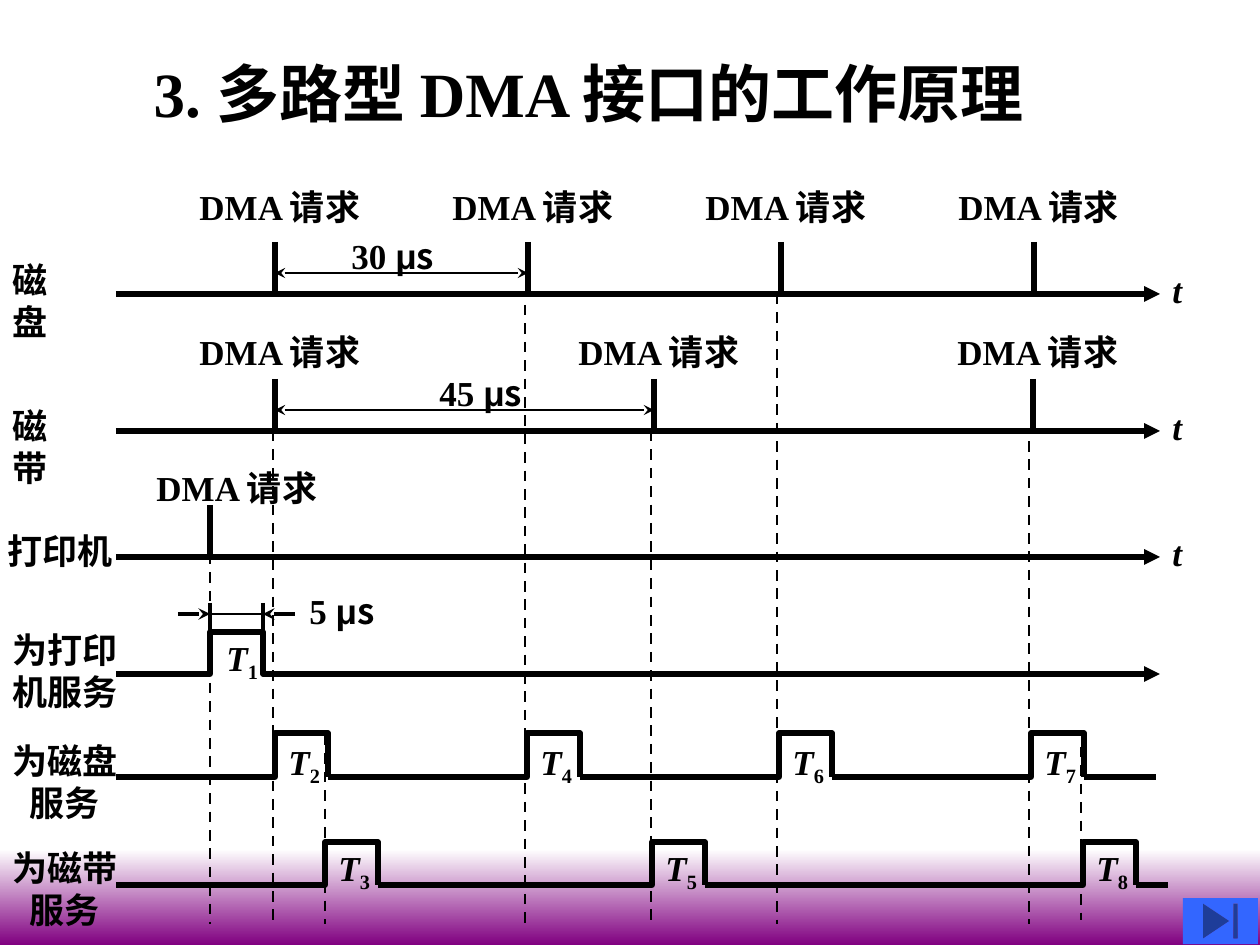
"""Build the timing-diagram slide for a multiplexed DMA interface."""
from dataclasses import dataclass

from lxml.etree import SubElement
from pptx import Presentation
from pptx.dml.color import RGBColor as Color
from pptx.enum.dml import MSO_LINE_DASH_STYLE as Dash
from pptx.enum.shapes import MSO_CONNECTOR as Connector, MSO_SHAPE as Preset
from pptx.enum.text import MSO_ANCHOR as Anchor, MSO_AUTO_SIZE as AutoSize, PP_ALIGN as Align
from pptx.oxml.ns import qn
from pptx.util import Emu, Pt

SCALE = 914400 / 126
REQUEST = "DMA 请求"
REQUEST_SIZE = (197, 55)
AXIS_LEFT, AXIS_RIGHT = 116, 1160
PULSE_WIDTH = 53


def px(length):
    return Emu(round(length * SCALE))


@dataclass(frozen=True)
class Theme:
    ink: Color = Color(0, 0, 0)
    paper: Color = Color(255, 255, 255)
    band: Color = Color(0x80, 0x00, 0x80)
    button: Color = Color(0x33, 0x66, 0xFF)
    serif: str = "Times New Roman"
    greek: str = "Arial"
    sans: str = "Noto Sans CJK SC"
    title: int = 36
    label: int = 20
    heavy: float = 3
    medium: float = 2.25
    dashed: float = 1.5
    thin: float = 1


class Diagram:
    def __init__(self, page, theme):
        self.page, self.theme = page, theme

    def span(self, para, text, size=None, font=None, italic=False, subscript=False):
        span = para.add_run()
        span.text = text
        span.font.name = font or self.theme.serif
        span.font.size = Pt(size or self.theme.label)
        span.font.bold, span.font.italic = True, italic
        span.font.color.rgb = self.theme.ink
        if subscript:
            span.font._element.set("baseline", "-25000")

    def title(self, text, left, top, width, height):
        box = self.page.shapes.title
        box.left, box.top, box.width, box.height = map(px, (left, top, width, height))
        frame = box.text_frame
        frame.vertical_anchor, frame.auto_size = Anchor.TOP, AutoSize.NONE
        frame.paragraphs[0].alignment = Align.LEFT
        self.span(frame.paragraphs[0], text, self.theme.title)

    def frame(self, left, top, width, height=55):
        box = self.page.shapes.add_textbox(px(left), px(top), px(width), px(height))
        box.text_frame.word_wrap = False
        box.text_frame.auto_size = AutoSize.SHAPE_TO_FIT_TEXT
        return box.text_frame

    def label(self, text, left, top, width, height=55, italic=False):
        self.span(self.frame(left, top, width, height).paragraphs[0], text, italic=italic)

    def service_name(self, lines, top):
        frame = self.frame(0, top, 130, 97)
        for index, line in enumerate(lines):
            para = frame.add_paragraph() if index else frame.paragraphs[0]
            para.alignment = Align.CENTER
            self.span(para, line)

    def duration(self, value, left, top, width):
        para = self.frame(left, top, width).paragraphs[0]
        self.span(para, f"{value} ")
        self.span(para, "μ", font=self.theme.greek)
        self.span(para, "s", font=self.theme.sans)

    def slot(self, number, left, top):
        para = self.frame(left, top, 57, 60).paragraphs[0]
        self.span(para, "T", italic=True)
        self.span(para, str(number), subscript=True)

    def stroke(self, line, weight, head=None, tail=None):
        line.color.rgb, line.width = self.theme.ink, Pt(weight)
        for tag, kind in (("a:headEnd", head), ("a:tailEnd", tail)):
            if kind:
                SubElement(line._get_or_add_ln(), qn(tag), type=kind)

    def line(self, x1, y1, x2, y2, weight, head=None, tail=None, dash=None):
        line = self.page.shapes.add_connector(Connector.STRAIGHT, px(x1), px(y1), px(x2), px(y2))
        SubElement(line._element.spPr, qn("a:effectLst"))
        if dash:
            line.line.dash_style = dash
        self.stroke(line.line, weight, head, tail)

    def outline(self, points, tail=None):
        builder = self.page.shapes.build_freeform(*points[0], scale=SCALE)
        builder.add_line_segments(points[1:], close=False)
        shape = builder.convert_to_shape()
        shape.shadow.inherit = False
        shape.fill.background()
        self.stroke(shape.line, self.theme.heavy, tail=tail)

    def band(self, left, top, width, height):
        shape = self.page.shapes.add_shape(Preset.RECTANGLE, px(left), px(top), px(width), px(height))
        shape.shadow.inherit = False
        shape.line.fill.background()
        shape.fill.gradient()
        shape.fill.gradient_angle = 270
        for stop, color, position in zip(
                shape.fill.gradient_stops, (self.theme.paper, self.theme.band), (0, 1)):
            stop.color.rgb, stop.position = color, position

    def button(self, left, top, width, height):
        shape = self.page.shapes.add_shape(
            Preset.ACTION_BUTTON_END, px(left), px(top), px(width), px(height))
        shape.shadow.inherit = False
        shape.fill.solid()
        shape.fill.fore_color.rgb = self.theme.button
        shape.line.fill.background()

    def request_row(self, axis, ticks, request_top, request_shift):
        heavy = self.theme.heavy
        self.line(AXIS_LEFT, axis, AXIS_RIGHT, axis, heavy, tail="triangle")
        self.label("t", AXIS_RIGHT, axis - 32, 34, italic=True)
        for tick in ticks:
            self.line(tick, axis - 52, tick, axis, heavy)
            self.label(REQUEST, tick - request_shift, request_top, *REQUEST_SIZE)

    def period(self, value, axis, start, end, label_left):
        self.line(start, axis - 21, end, axis - 21, self.theme.thin, "stealth", "stealth")
        self.duration(value, label_left, axis - 66, 108)

    def service_row(self, base, top, pulses, end, label_shift):
        start = AXIS_LEFT
        for number, rise in pulses:
            fall = rise + PULSE_WIDTH
            self.outline([(start, base), (rise, base), (rise, top), (fall, top), (fall, base)])
            self.slot(number, rise + 1, top + label_shift)
            start = fall
        self.line(start, base, end, base, self.theme.heavy)

    def printer_service(self, base, top, rise):
        fall, gauge = rise + PULSE_WIDTH, top - 18
        self.outline([(AXIS_LEFT, base), (rise, base), (rise, top), (fall, top),
                      (fall, base), (AXIS_RIGHT, base)], tail="triangle")
        self.slot(1, rise + 4, top - 2)
        for edge, outer in ((rise, rise - 32), (fall, fall + 32)):
            self.line(edge, top - 29, edge, top + 3, self.theme.medium)
            self.line(outer, gauge, edge, gauge, self.theme.medium, tail="stealth")
        self.line(rise, gauge, fall, gauge, 0.75)
        self.duration(5, 297, top - 49, 90)


def main():
    deck = Presentation()
    deck.slide_width, deck.slide_height = px(1260), px(945)
    page = deck.slides.add_slide(deck.slide_layouts[5])
    diagram = Diagram(page, Theme())
    diagram.band(0, 849, 1260, 96)
    diagram.title("3. 多路型 DMA 接口的工作原理", 141, 48, 980, 88)

    for x, top, bottom in ((210, 554, 924), (273, 431, 924), (325, 735, 924), (525, 305, 924),
                           (651, 431, 924), (777, 294, 924), (1029, 441, 924), (1081, 747, 920)):
        diagram.line(x, top, x, bottom, diagram.theme.dashed, dash=Dash.DASH)

    for name, left, top, width in (("磁盘", 0, 252, 94), ("磁带", 0, 398, 94),
                                   ("打印机", -5, 523, 130)):
        diagram.label(name, left, top, width)
    diagram.request_row(294, range(275, 1035, 253), 179, 88)
    diagram.request_row(431, (275, 654, 1033), 324, 88)
    diagram.request_row(557, (210,), 460, 66)
    diagram.period(30, 294, 275, 528, 339)
    diagram.period(45, 431, 275, 654, 427)

    for device, service, top in (("为打印", "机服务", 622), ("为磁盘", "服务", 733),
                                 ("为磁带", "服务", 840)):
        diagram.service_name((device, service), top)
    diagram.printer_service(674, 632, 210)
    diagram.service_row(777, 733, zip((2, 4, 6, 7), range(275, 1032, 252)), 1156, 1)
    diagram.service_row(885, 842, ((3, 325), (5, 652), (8, 1083)), 1168, -2)
    diagram.button(1183, 898, 75, 46)
    deck.save("out.pptx")


if __name__ == "__main__":
    main()
